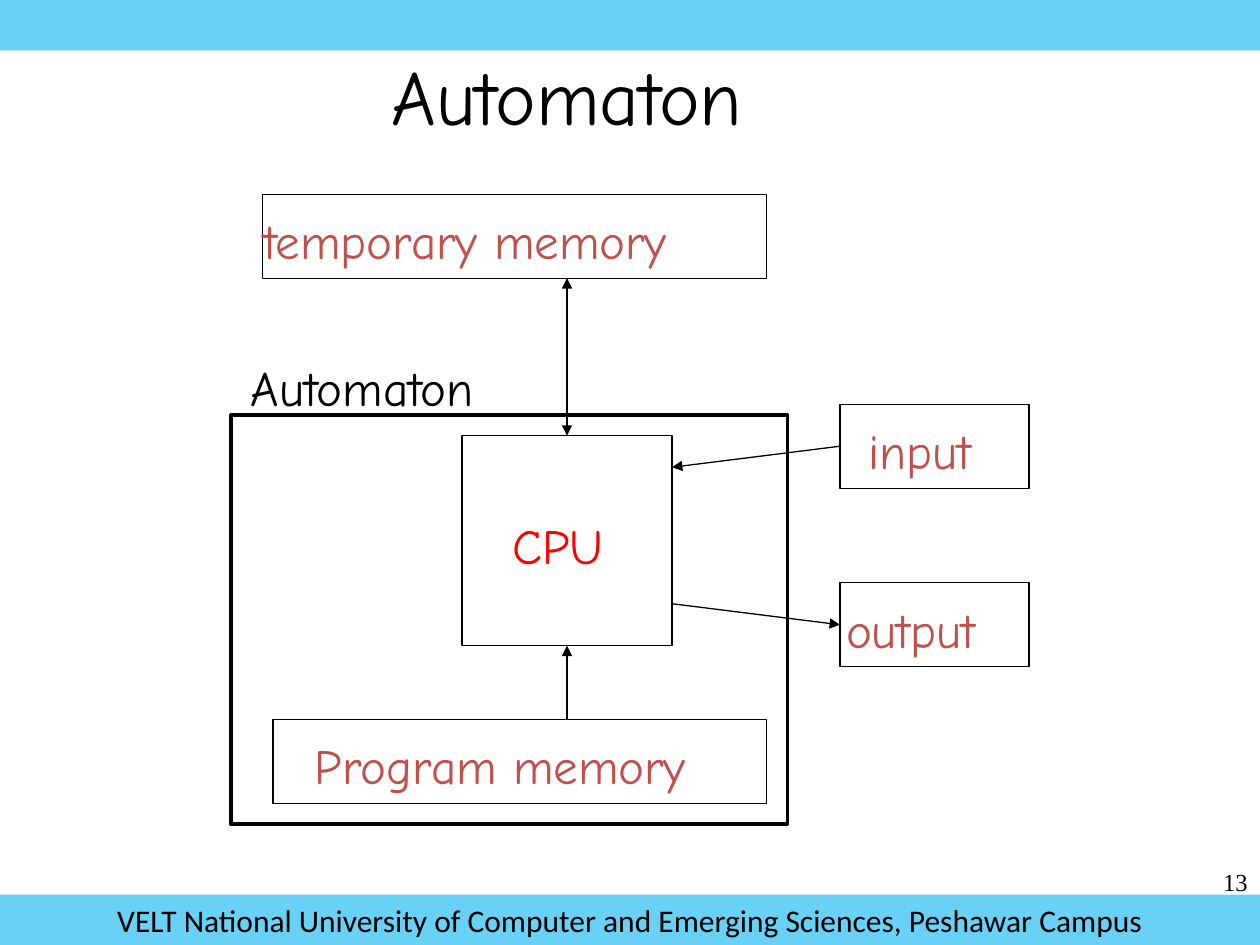
from lxml import etree
from pptx import Presentation
from pptx.dml.color import RGBColor
from pptx.enum.shapes import MSO_CONNECTOR, MSO_SHAPE
from pptx.enum.text import MSO_ANCHOR, PP_ALIGN
from pptx.oxml.ns import qn
from pptx.util import Inches, Pt

RECT = MSO_SHAPE.RECTANGLE
LINE = MSO_CONNECTOR.STRAIGHT
LEFT, MID, RIGHT = PP_ALIGN.LEFT, PP_ALIGN.CENTER, PP_ALIGN.RIGHT
CENTRE = MSO_ANCHOR.MIDDLE

BLACK = RGBColor(0x00, 0x00, 0x00)
RED = RGBColor(0xFF, 0x00, 0x00)
BRICK = RGBColor(0xC0, 0x50, 0x4D)
SKY = RGBColor(0x00, 0xB0, 0xF0)

COMIC, SANS, SERIF = "Comic Neue", "Calibri", "Times New Roman"
COLS, ROWS = 120, 90
CELL = Inches(10) / COLS
THIN, THICK = 0.74, 2
TALL = 6.8  # rows of a label
BAR = 4.8   # rows of a band


def grid(*cells):
    return [round(n * CELL) for n in cells]


def write(frame, text, size, color, font=COMIC, align=LEFT):
    frame.word_wrap = True
    para = frame.paragraphs[0]
    para.alignment = align
    run = para.add_run()
    run.text = text
    run.font.size = Pt(size)
    run.font.name = font
    run.font.color.rgb = color


def label(slide, place, text, size=28, color=BRICK, font=COMIC, align=LEFT):
    box = slide.shapes.add_textbox(*grid(*place))
    write(box.text_frame, text, size, color, font, align)


def frame(slide, place, width=THIN):
    box = slide.shapes.add_shape(RECT, *grid(*place))
    box.shadow.inherit = False
    box.fill.background()
    box.line.color.rgb = BLACK
    box.line.width = Pt(width)


def arrow(slide, start, end, both=False):
    link = slide.shapes.add_connector(LINE, *grid(*start, *end))
    link.line.color.rgb = BLACK
    link.line.width = Pt(THIN)
    stroke = link.line._get_or_add_ln()
    for tag in ["a:headEnd"] * both + ["a:tailEnd"]:
        etree.SubElement(stroke, qn(tag), type="triangle")
    etree.SubElement(link._element.spPr, qn("a:effectLst"))


def band(slide, top):
    bar = slide.shapes.add_shape(RECT, *grid(0, top, COLS, BAR))
    bar.shadow.inherit = False
    bar.fill.solid()
    bar.fill.fore_color.rgb = SKY
    tint = bar._element.spPr.find(qn("a:solidFill"))[0]
    etree.SubElement(tint, qn("a:alpha"), val="59000")
    bar.line.fill.background()
    bar.text_frame.vertical_anchor = CENTRE
    return bar


def main():
    deck = Presentation()
    deck.slide_width, deck.slide_height = grid(COLS, ROWS)
    slide = deck.slides.add_slide(deck.slide_layouts[6])

    # Title
    label(slide, (36.1, 4, 43.1, 10), "Automaton", 44, BLACK)

    # Processor
    frame(slide, (44, 41.5, 20, 20))
    label(slide, (47.6, 48.5, 12, TALL), "CPU", color=RED)

    # Memories and ports: column, row, width, label column, label width
    parts = [
        ("temporary memory", 25, 18.5, 48, 23.9, 47.8),
        ("input", 80, 38.5, 18, 81.5, 14.4),
        ("output", 80, 55.5, 18, 79.4, 17.8),
        ("Program memory", 26, 68.5, 47, 28.8, 43),
    ]
    for text, col, row, width, start, span in parts:
        frame(slide, (col, row, width, 8))
        label(slide, (start, row + 1, span, TALL), text)

    # Flow
    arrow(slide, (54, 26.5), (54, 41.5), both=True)
    arrow(slide, (80, 42.5), (64, 44.5))
    arrow(slide, (64, 57.5), (80, 59.5))
    arrow(slide, (54, 68.5), (54, 61.5))

    # Outer boundary
    frame(slide, (22, 39.5, 53, 39), THICK)
    label(slide, (22.7, 33.5, 28.2, TALL), "Automaton", color=BLACK)

    # Page number and bands
    label(slide, (115, 82, 5, 4), "13", 14, BLACK, SERIF, RIGHT)
    band(slide, 0)
    foot = band(slide, ROWS - BAR)
    write(foot.text_frame,
          "VELT National University of Computer and Emerging Sciences, "
          "Peshawar Campus", 18, BLACK, SANS, MID)

    deck.save("out.pptx")


main()
